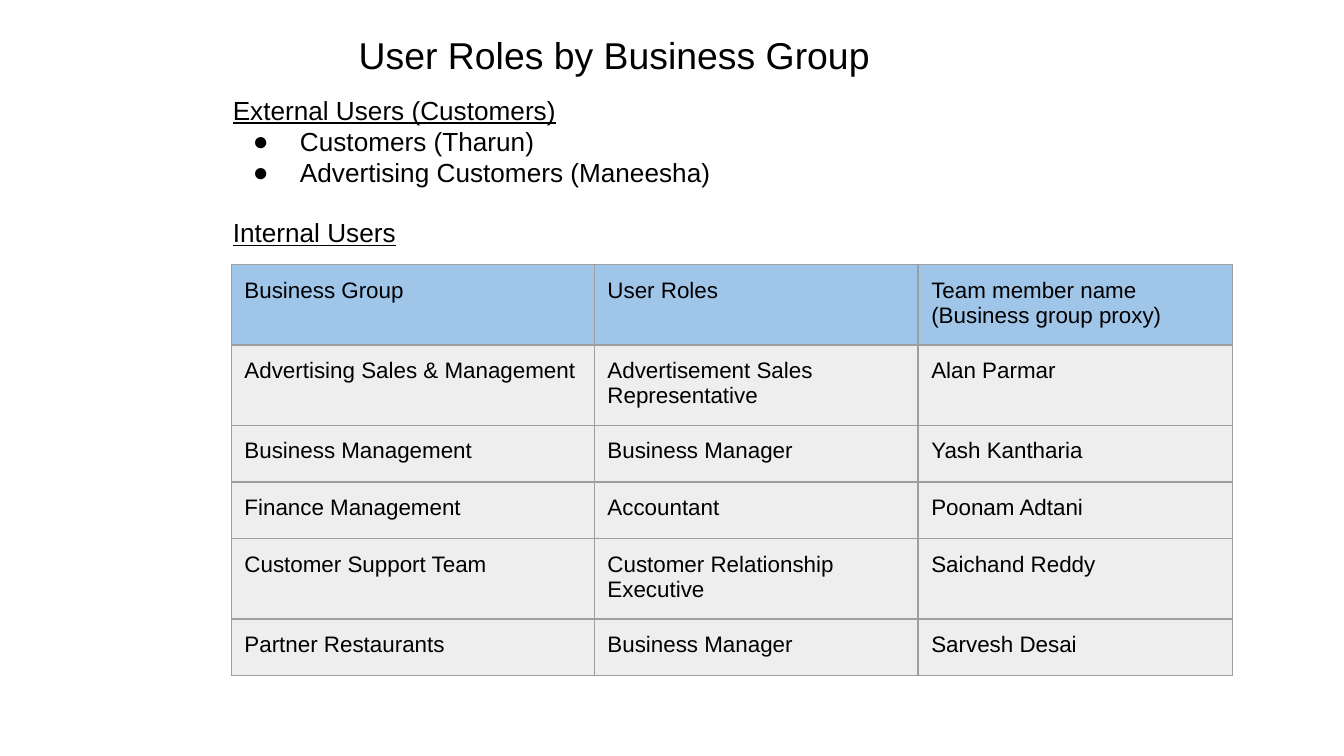
import pptx
import pptx.dml.color
import pptx.enum.text
import pptx.oxml
import pptx.oxml.ns
import pptx.util

Cm = pptx.util.Cm
Pt = pptx.util.Pt
RGBColor = pptx.dml.color.RGBColor

BLACK = RGBColor(0x00, 0x00, 0x00)
HEADER_BLUE = RGBColor(0x9F, 0xC5, 0xE8)
ROW_GREY = RGBColor(0xEE, 0xEE, 0xEE)
BORDER_GREY = RGBColor(0x9E, 0x9E, 0x9E)
FONT = "Arial"
INSET = Cm(0.25)

TITLE = "User Roles by Business Group"
EXTERNAL_HEADING = "External Users (Customers)"
EXTERNAL_USERS = ["Customers (Tharun)", "Advertising Customers (Maneesha)"]
INTERNAL_HEADING = "Internal Users"
ROLES = [
    ("Business Group", "User Roles", "Team member name\n(Business group proxy)"),
    ("Advertising Sales & Management", "Advertisement Sales Representative", "Alan Parmar"),
    ("Business Management", "Business Manager", "Yash Kantharia"),
    ("Finance Management", "Accountant", "Poonam Adtani"),
    ("Customer Support Team", "Customer Relationship Executive", "Saichand Reddy"),
    ("Partner Restaurants", "Business Manager", "Sarvesh Desai"),
]
COLUMN_WIDTHS = [Cm(6.86), Cm(6.12), Cm(5.94)]
ONE_LINE, TWO_LINES = Cm(1.07), Cm(1.52)
ROW_HEIGHTS = [TWO_LINES, TWO_LINES, ONE_LINE, ONE_LINE, TWO_LINES, ONE_LINE]


def write(tf, text, size):
    tf.text = text
    for p in tf.paragraphs:
        for r in p.runs:
            r.font.name = FONT
            r.font.size = Pt(size)
            r.font.color.rgb = BLACK


def add_text(slide, left, top, width, height, text, size):
    tf = slide.shapes.add_textbox(Cm(left), Cm(top), Cm(width), Cm(height)).text_frame
    tf.word_wrap = True
    tf.auto_size = pptx.enum.text.MSO_AUTO_SIZE.SHAPE_TO_FIT_TEXT
    tf.margin_left = tf.margin_right = tf.margin_top = tf.margin_bottom = INSET
    write(tf, text, size)
    return tf


def add_bullet(p):
    pPr = p._p.get_or_add_pPr()
    pPr.set("marL", str(Cm(1.27)))
    pPr.set("indent", str(-Cm(0.89)))
    ns = pptx.oxml.ns.nsdecls("a")
    for xml in (
        f'<a:buClr {ns}><a:srgbClr val="{BLACK}"/></a:buClr>',
        f'<a:buFont {ns} typeface="{FONT}"/>',
        f'<a:buChar {ns} char="●"/>',
    ):
        pPr.append(pptx.oxml.parse_xml(xml))


def add_borders(cell):
    tcPr = cell._tc.get_or_add_tcPr()
    ns = pptx.oxml.ns.nsdecls("a")
    for i, side in enumerate("LRTB"):
        tcPr.insert(i, pptx.oxml.parse_xml(
            f'<a:ln{side} {ns} w="{Pt(0.75)}"><a:solidFill>'
            f'<a:srgbClr val="{BORDER_GREY}"/></a:solidFill></a:ln{side}>'))


def add_roles_table(slide):
    table = slide.shapes.add_table(
        len(ROLES), len(COLUMN_WIDTHS), Cm(4.37), Cm(5),
        sum(COLUMN_WIDTHS), sum(ROW_HEIGHTS)).table
    table.horz_banding = False
    for column, width in zip(table.columns, COLUMN_WIDTHS):
        column.width = width
    for i, (row, height) in enumerate(zip(table.rows, ROW_HEIGHTS)):
        row.height = height
        for cell, text in zip(row.cells, ROLES[i]):
            write(cell.text_frame, text, 12)
            cell.margin_left = cell.margin_right = INSET
            cell.margin_top = cell.margin_bottom = INSET
            cell.fill.solid()
            cell.fill.fore_color.rgb = ROW_GREY if i else HEADER_BLUE
            add_borders(cell)


def main():
    prs = pptx.Presentation()
    prs.slide_width, prs.slide_height = Cm(25.4), Cm(14.29)
    slide = prs.slides.add_slide(prs.slide_layouts[6])

    add_text(slide, 6.53, 0.36, 14.53, 1.37, TITLE, 20)
    external = add_text(slide, 4.15, 1.53, 10, 2.31,
                        "\n".join([EXTERNAL_HEADING, *EXTERNAL_USERS]), 14)
    internal = add_text(slide, 4.15, 3.84, 6.3, 1.12, INTERNAL_HEADING, 14)
    for tf in (external, internal):
        tf.paragraphs[0].runs[0].font.underline = True
    for p in external.paragraphs[1:]:
        add_bullet(p)
    add_roles_table(slide)
    prs.save("out.pptx")


if __name__ == "__main__":
    main()
